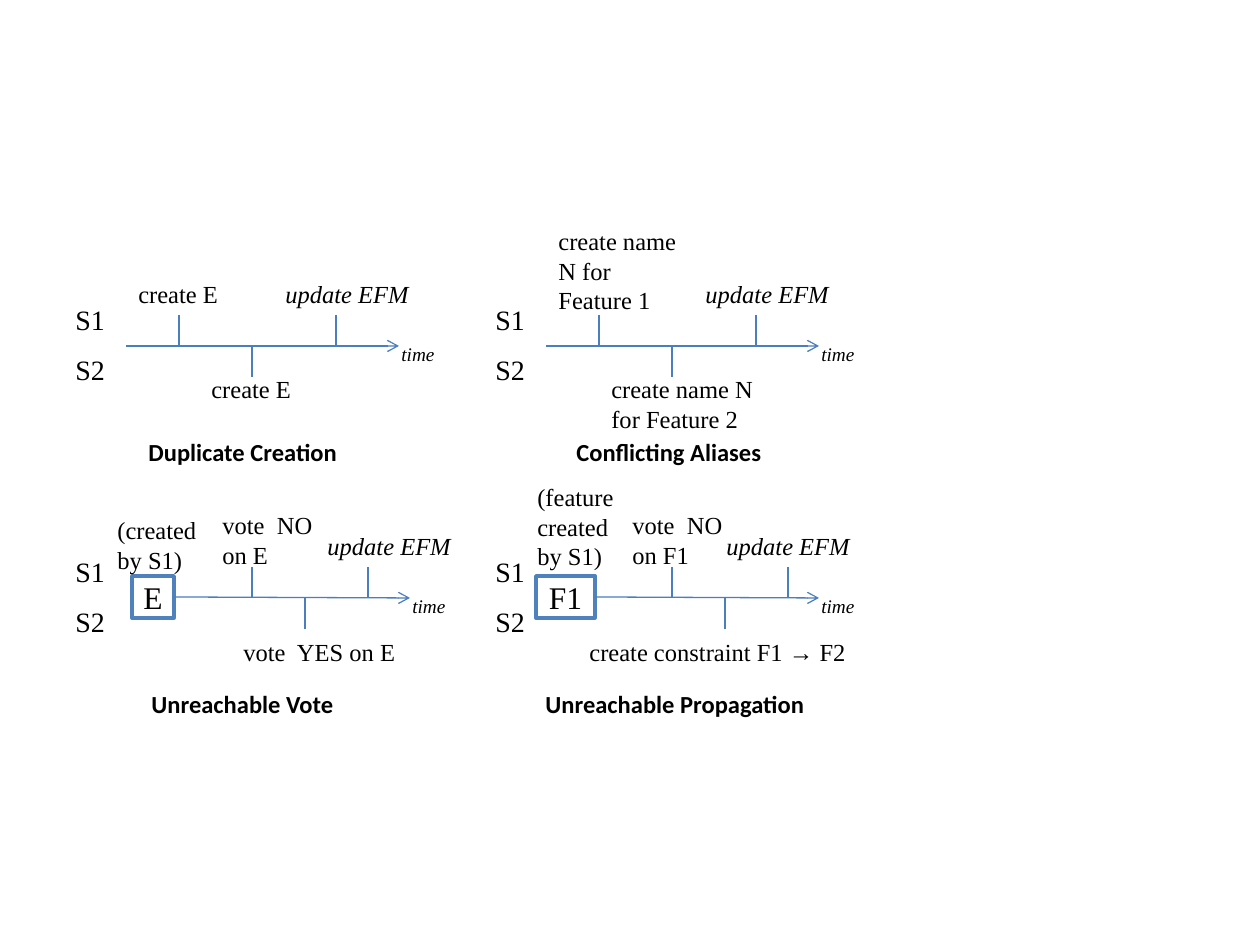
import pptx
import pptx.util
import pptx.dml.color
import pptx.enum.shapes
import pptx.enum.text
import pptx.oxml.ns
import lxml.etree

SCALE = 914400 / 126
SLIDE = (1260, 945)
THEME = {
    "serif": "Times New Roman", "sans": "Calibri",
    "ink": "000000", "paper": "FFFFFF", "line": "4B7EBC", "border": "4F81BD",
    "event": 14, "site": 16, "time": 11, "caption": 14, "feature": 18,
}
COLUMNS = (63, 483)
AXES = (346, 598)
AXIS_START = 63
TICK = 31
LINE_HEIGHTS = {1: 43, 2: 72, 3: 102}
SITES = (("S1", -50, 55, False), ("S2", 0, 63, True))

# PANELS
PANELS = [
    {"cell": (0, 0), "caption": ("Duplicate Creation", 73, 215), "end": 336,
     "up": (116, 273), "down": 189, "feature": None,
     "events": [("create E", 63, -73, 116, 1), ("create E", 136, 22, 116, 1)],
     "update": (210, 199)},
    {"cell": (1, 0), "caption": ("Conflicting Aliases", 81, 213), "end": 336,
     "up": (116, 273), "down": 189, "feature": None,
     "events": [("create name N for Feature 1", 63, -126, 147, 3),
                ("create name N for Feature 2", 116, 22, 179, 2)],
     "update": (210, 158)},
    {"cell": (0, 1), "caption": ("Unreachable Vote", 76, 208), "end": 347,
     "up": (189, 305), "down": 242, "feature": ("E", 69, 42),
     "events": [("(created by S1)", 42, -89, 126, 2),
                ("vote  NO on E", 147, -94, 116, 2),
                ("vote  YES on E", 168, 33, 179, 1)],
     "update": (252, 158)},
    {"cell": (1, 1), "caption": ("Unreachable Propagation", 50, 286), "end": 336,
     "up": (189, 305), "down": 242, "feature": ("F1", 53, 59),
     "events": [("(feature created by S1)", 42, -122, 126, 3),
                ("vote  NO on F1", 137, -94, 116, 2),
                ("create constraint F1 \u2192 F2", 94, 33, 284, 1)],
     "update": (231, 158)},
]


def emu(*pixels):
    return [round(pixel * SCALE) for pixel in pixels]


def color(name):
    return pptx.dml.color.RGBColor.from_string(THEME[name])


def write(shape, text, size, family="serif", bold=None, italic=None):
    para = shape.text_frame.paragraphs[0]
    para.text = text
    font = para.font
    font.name = THEME[family]
    font.size = pptx.util.Pt(THEME[size])
    font.bold, font.italic = bold, italic
    font.color.rgb = color("ink")
    return para


def add_label(page, text, place, size, wrap=True, **style):
    box = page.shapes.add_textbox(*emu(*place))
    box.text_frame.word_wrap = wrap
    write(box, text, size, **style)


def add_line(page, start, finish, arrow=False):
    line = page.shapes.add_connector(
        pptx.enum.shapes.MSO_CONNECTOR.STRAIGHT, *emu(*start, *finish))
    line.line.color.rgb = color("line")
    line.line.width = pptx.util.Pt(0.75)
    qn = pptx.oxml.ns.qn
    properties = line._element.spPr
    if arrow:
        lxml.etree.SubElement(properties.find(qn("a:ln")), qn("a:tailEnd"), type="arrow")
    lxml.etree.SubElement(properties, qn("a:effectLst"))


def add_feature(page, text, place):
    box = page.shapes.add_shape(
        pptx.enum.shapes.MSO_SHAPE.RECTANGLE, *emu(*place))
    box.shadow.inherit = False
    box.fill.solid()
    box.fill.fore_color.rgb = color("paper")
    box.line.color.rgb = color("border")
    box.line.width = pptx.util.Pt(2)
    frame = box.text_frame
    frame.word_wrap = False
    frame.vertical_anchor = pptx.enum.text.MSO_ANCHOR.MIDDLE
    write(box, text, "feature").alignment = pptx.enum.text.PP_ALIGN.CENTER


def add_panel(page, panel):
    column, row = panel["cell"]
    left, axis = COLUMNS[column], AXES[row]
    end = left + panel["end"]
    start = (left + AXIS_START, axis)
    if panel["feature"]:
        name, offset, width = panel["feature"]
        start = (left + offset + width, axis - 1)
        add_feature(page, name, (left + offset, axis - 22, width, 42))
    add_line(page, start, (end, axis), arrow=True)
    for offset in panel["up"]:
        add_line(page, (left + offset, axis - TICK), (left + offset, axis))
    down = left + panel["down"]
    add_line(page, (down, axis), (down, axis + TICK))
    for text, offset, width, wrap in SITES:
        add_label(page, text, (left, axis + offset, width, 47), "site", wrap)
    for text, offset, rise, width, lines in panel["events"]:
        add_label(page, text, (left + offset, axis + rise, width, LINE_HEIGHTS[lines]), "event")
    offset, width = panel["update"]
    add_label(page, "update EFM", (left + offset, axis - 73, width, LINE_HEIGHTS[1]),
              "event", italic=True)
    add_label(page, "time", (end - 10, axis - 10, 60, 37), "time", False, italic=True)
    text, offset, width = panel["caption"]
    add_label(page, text, (left + offset, axis + 85, width, LINE_HEIGHTS[1]),
              "caption", False, family="sans", bold=True)


deck = pptx.Presentation()
deck.slide_width, deck.slide_height = emu(*SLIDE)
page = deck.slides.add_slide(deck.slide_layouts[6])
for panel in PANELS:
    add_panel(page, panel)
deck.save("out.pptx")
